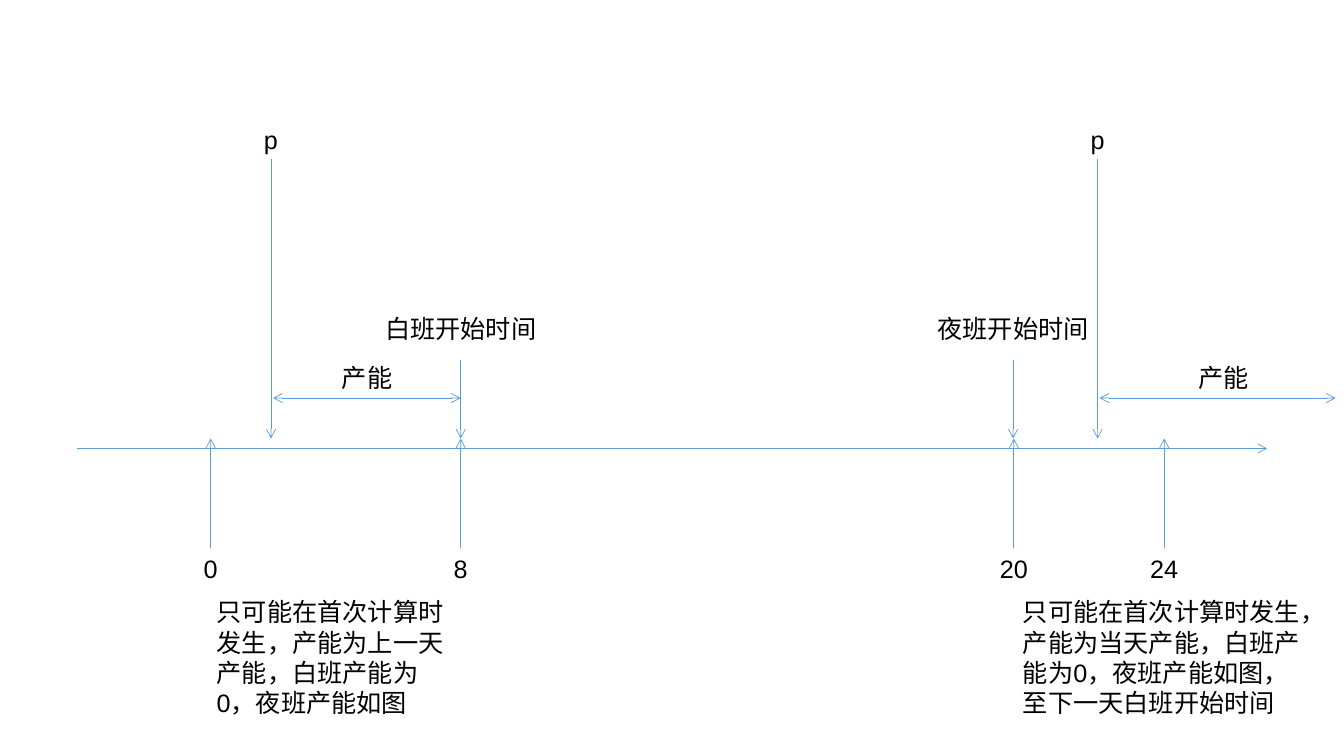
from dataclasses import dataclass

from lxml import etree
from pptx import Presentation
from pptx.dml.color import RGBColor
from pptx.enum import shapes, text
from pptx.oxml import ns
from pptx.slide import Slide
from pptx.util import Cm, Pt

COLORS = {"line": "5B9BD5", "text": "000000"}
FONT_NAME = "Arial"
FONT_SIZE = 18
LABEL_HEIGHT = 1.02

# Vertical levels of the timeline, in centimetres
AXIS_Y = 11.3
ARROW_TIP_Y = 11.05
HOUR_Y = 13.82
CAPACITY_Y = 10.03
NOTE_Y = 14.91
NOTE_HEIGHT = 3.33


@dataclass(frozen=True)
class Marker:
    """A vertical arrow to the axis with a label at its far end."""
    label: str
    x: float
    start_y: float
    label_top: float
    label_width: float


@dataclass(frozen=True)
class Capacity:
    """A double-headed span with a label above it."""
    start_x: float
    end_x: float
    label_center: float


@dataclass(frozen=True)
class Note:
    content: str
    left: float
    width: float


HOURS = [("0", 5.31, 0.86), ("8", 11.61, 0.86), ("20", 25.55, 1.22), ("24", 29.34, 1.22)]
SHIFTS = [("白班开始时间", 11.61), ("夜班开始时间", 25.53)]
POINTS = [6.83, 27.66]

MARKERS = (
    [Marker(label, x, HOUR_Y, HOUR_Y, width) for label, x, width in HOURS]
    + [Marker(label, x, 9.08, 7.77, 4.32) for label, x in SHIFTS]
    + [Marker("p", x, 4.01, 3.0, 0.86) for x in POINTS]
)
CAPACITIES = [Capacity(6.88, 11.61, 9.25), Capacity(27.71, 33.66, 30.84)]
NOTES = [
    Note("只可能在首次计算时发生，产能为上一天产能，白班产能为0，夜班产能如图", 5.21, 6.48),
    Note("只可能在首次计算时发生，产能为当天产能，白班产能为0，夜班产能如图，"
         "至下一天白班开始时间", 25.53, 7.54),
]


def add_arrow(slide: Slide, start: tuple[float, float], end: tuple[float, float],
              both_ends: bool = False) -> None:
    connector = slide.shapes.add_connector(
        shapes.MSO_CONNECTOR.STRAIGHT, *(Cm(value) for value in start + end))
    connector.line.color.rgb = RGBColor.from_string(COLORS["line"])
    connector.line.width = Pt(0.5)
    outline = connector.line._get_or_add_ln()
    for tag in (["a:headEnd"] if both_ends else []) + ["a:tailEnd"]:
        etree.SubElement(outline, ns.qn(tag), type="arrow")
    etree.SubElement(connector._element.spPr, ns.qn("a:effectLst"))


def add_text(slide: Slide, content: str, left: float, top: float, width: float,
             height: float, wrap: bool = False) -> None:
    box = slide.shapes.add_textbox(Cm(left), Cm(top), Cm(width), Cm(height))
    frame = box.text_frame
    frame.word_wrap = wrap
    frame.auto_size = text.MSO_AUTO_SIZE.SHAPE_TO_FIT_TEXT
    paragraph = frame.paragraphs[0]
    paragraph.alignment = text.PP_ALIGN.LEFT if wrap else text.PP_ALIGN.CENTER
    run = paragraph.add_run()
    run.text = content
    run.font.name = FONT_NAME
    run.font.size = Pt(FONT_SIZE)
    run.font.color.rgb = RGBColor.from_string(COLORS["text"])


def add_label(slide: Slide, content: str, center: float, top: float, width: float) -> None:
    add_text(slide, content, center - width / 2, top, width, LABEL_HEIGHT)


def add_marker(slide: Slide, marker: Marker) -> None:
    add_arrow(slide, (marker.x, marker.start_y), (marker.x, ARROW_TIP_Y))
    add_label(slide, marker.label, marker.x, marker.label_top, marker.label_width)


def add_capacity(slide: Slide, capacity: Capacity) -> None:
    add_arrow(slide, (capacity.start_x, CAPACITY_Y), (capacity.end_x, CAPACITY_Y),
              both_ends=True)
    add_label(slide, "产能", capacity.label_center, CAPACITY_Y - LABEL_HEIGHT, 1.78)


def main() -> None:
    presentation = Presentation()
    presentation.slide_width = Cm(33.87)
    presentation.slide_height = Cm(19.05)
    slide = presentation.slides.add_slide(presentation.slide_layouts[6])

    # Time axis
    add_arrow(slide, (1.93, AXIS_Y), (31.93, AXIS_Y))

    # Hours, shift starts and points p
    for marker in MARKERS:
        add_marker(slide, marker)

    # Capacity spans
    for capacity in CAPACITIES:
        add_capacity(slide, capacity)

    # Explanations below the axis
    for note in NOTES:
        add_text(slide, note.content, note.left, NOTE_Y, note.width, NOTE_HEIGHT, wrap=True)

    presentation.save("out.pptx")


if __name__ == "__main__":
    main()
